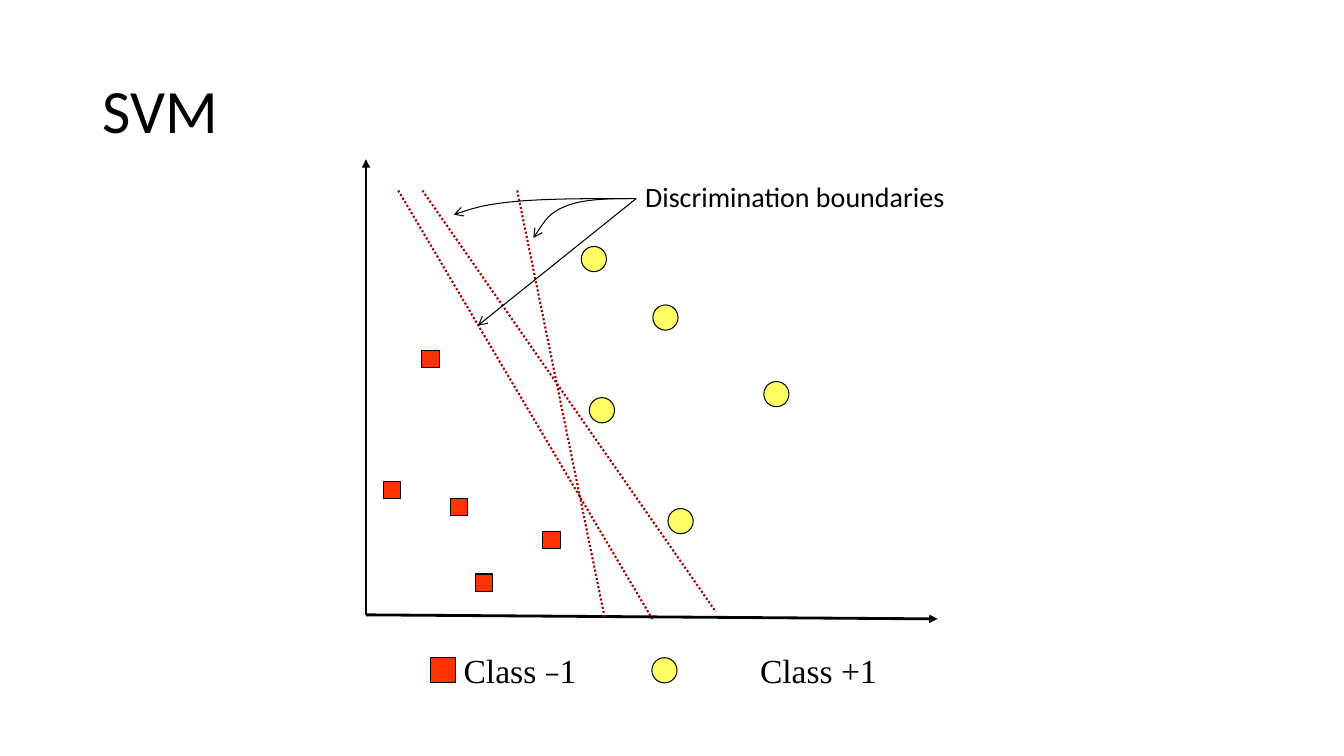
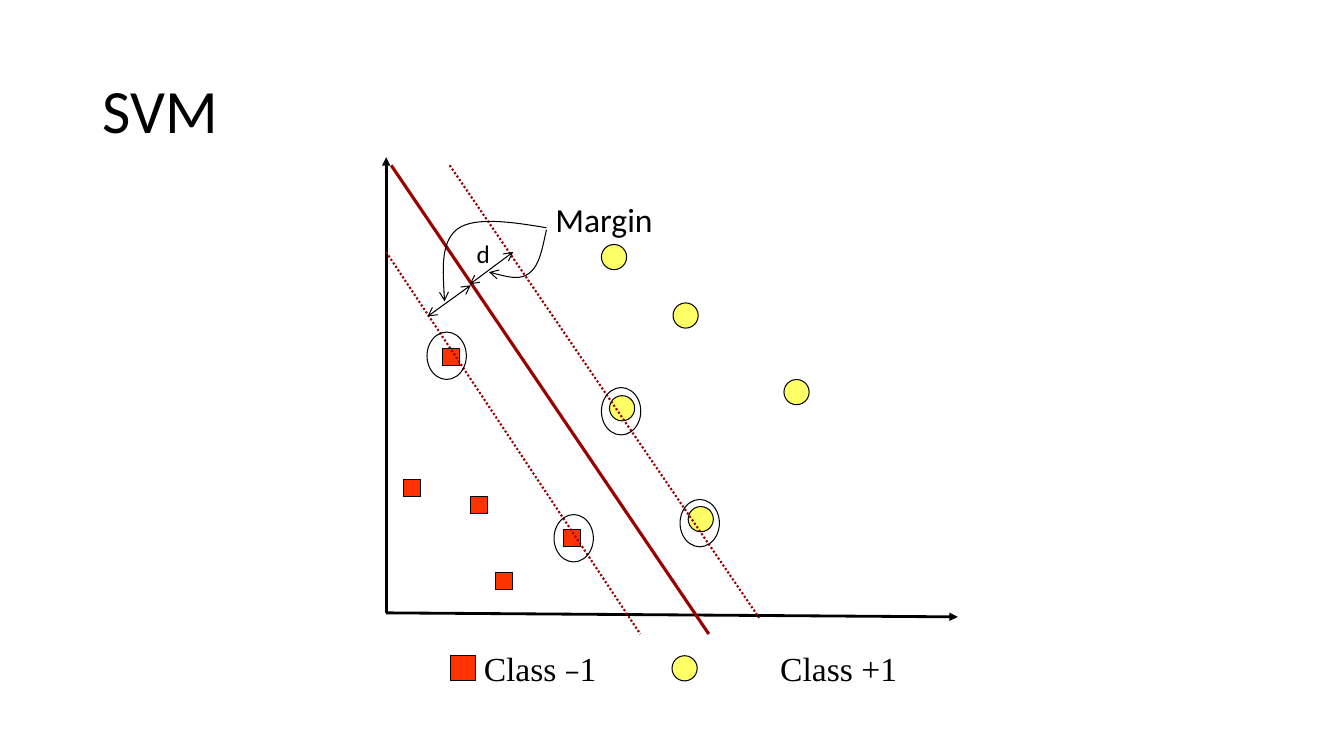
import dataclasses

import pptx
import pptx.dml.color
import pptx.enum.dml
import pptx.enum.shapes
import pptx.enum.text
import pptx.oxml.ns
import pptx.oxml.xmlchemy
import pptx.util

SLIDE_WIDTH, SLIDE_HEIGHT = 13.33, 7.5
PLOT_COLS, PLOT_ROWS = 5.67, 4.52
RECT = pptx.enum.shapes.MSO_SHAPE.RECTANGLE
OVAL = pptx.enum.shapes.MSO_SHAPE.OVAL
qn = pptx.oxml.ns.qn
new_element = pptx.oxml.xmlchemy.OxmlElement


@dataclasses.dataclass(frozen=True)
class Theme:
    ink: str = "000000"
    negative: str = "FF3300"
    positive: str = "FFFF66"
    boundary: str = "990000"
    body_font: str = "Calibri"
    legend_font: str = "Times New Roman"
    sign_font: str = "Arial"
    title_size: int = 44
    legend_size: int = 24
    label_size: int = 20
    small_size: int = 18
    thin: float = 0.75
    dotted: float = 1.5
    axis: float = 2
    separator: float = 2.25


THEME = Theme()

# Class samples as (column, row) centres inside the plot
NEGATIVES = [(0.64, 1.98), (1.84, 3.78), (1.17, 4.2), (0.92, 3.45), (0.26, 3.28)]
POSITIVES = [(2.97, 1.57), (2.26, 0.99), (4.07, 2.33), (2.34, 2.49), (3.12, 3.59)]
SAMPLE_SQUARE, SAMPLE_DISC, LEGEND_KEY = 0.17, 0.25, 0.25
SUPPORT_RING = (0.39, 0.47)


@dataclasses.dataclass(frozen=True)
class Plot:
    """The plot's box on its slide, divided into columns and rows."""
    slide: object
    left: float
    top: float
    width: float = PLOT_COLS
    height: float = PLOT_ROWS

    def size(self, cols, rows):
        return (pptx.util.Inches(cols * self.width / PLOT_COLS),
                pptx.util.Inches(rows * self.height / PLOT_ROWS))

    def at(self, col, row):
        across, down = self.size(col, row)
        return pptx.util.Inches(self.left) + across, pptx.util.Inches(self.top) + down


def rgb(colour):
    return pptx.dml.color.RGBColor.from_string(colour)


def write(paragraph, text, font=THEME.body_font, size=THEME.label_size, colour=THEME.ink):
    run = paragraph.add_run()
    run.text = text
    run.font.name = font
    run.font.size = pptx.util.Pt(size)
    run.font.color.rgb = rgb(colour)


def label(plot, col, row, cols, rows, *pieces):
    """Text box at a grid place; each piece is (text, format)."""
    frame = plot.slide.shapes.add_textbox(*plot.at(col, row), *plot.size(cols, rows)).text_frame
    frame.word_wrap = False
    for text, style in pieces:
        write(frame.paragraphs[0], text, **style)


def stroke(part, colour=THEME.ink, weight=THEME.thin, dotted=False, head=None, tail=None):
    part.line.color.rgb = rgb(colour)
    part.line.width = pptx.util.Pt(weight)
    if dotted:
        part.line.dash_style = pptx.enum.dml.MSO_LINE.ROUND_DOT
    outline = part._element.spPr.find(qn("a:ln"))
    for tag, kind in (("a:headEnd", head), ("a:tailEnd", tail)):
        if kind:
            end = new_element(tag)
            end.set("type", kind)
            outline.append(end)


def segment(plot, start, end, **style):
    straight = plot.slide.shapes.add_connector(
        pptx.enum.shapes.MSO_CONNECTOR.STRAIGHT, *plot.at(*start), *plot.at(*end))
    stroke(straight, **style)
    straight._element.spPr.append(new_element("a:effectLst"))


def curved_arrow(plot, start, *controls):
    """Arrow along cubic curves, three control points for each."""
    builder = plot.slide.shapes.build_freeform(*plot.at(*start))
    builder.add_line_segments([plot.at(*point) for point in controls], close=False)
    arrow = builder.convert_to_shape()
    arrow.shadow.inherit = False
    arrow.fill.background()
    stroke(arrow, tail="arrow")
    # Turn every three straight steps into one Bezier curve
    route = next(arrow._element.iter(qn("a:path")))
    steps = route.findall(qn("a:lnTo"))
    for first in range(0, len(steps), 3):
        curve = new_element("a:cubicBezTo")
        for step in steps[first:first + 3]:
            curve.append(step[0])
            route.remove(step)
        route.append(curve)


def marker(plot, kind, centre, cols, rows, fill=None):
    col, row = centre
    mark = plot.slide.shapes.add_shape(
        kind, *plot.at(col - cols / 2, row - rows / 2), *plot.size(cols, rows))
    mark.shadow.inherit = False
    if fill:
        mark.fill.solid()
        mark.fill.fore_color.rgb = rgb(fill)
    else:
        mark.fill.background()
    stroke(mark)


def add_title(slide, text):
    title = slide.shapes.title
    title.left, title.top, title.width, title.height = map(
        pptx.util.Inches, (0.92, 0.4, 11.5, 1.45))
    title.text_frame.vertical_anchor = pptx.enum.text.MSO_ANCHOR.MIDDLE
    paragraph = title.text_frame.paragraphs[0]
    paragraph.alignment = pptx.enum.text.PP_ALIGN.LEFT
    paragraph.line_spacing = 0.9
    write(paragraph, text, size=THEME.title_size)


def add_axes(plot):
    origin = (0, PLOT_ROWS)
    for tip in ((0, 0), (PLOT_COLS, PLOT_ROWS + 0.04)):
        segment(plot, origin, tip, weight=THEME.axis, tail="triangle")


def add_samples(plot):
    for centre in NEGATIVES:
        marker(plot, RECT, centre, SAMPLE_SQUARE, SAMPLE_SQUARE, THEME.negative)
    for centre in POSITIVES:
        marker(plot, OVAL, centre, SAMPLE_DISC, SAMPLE_DISC, THEME.positive)


def add_legend(plot):
    serif = dict(font=THEME.legend_font, size=THEME.legend_size)
    sign = dict(font=THEME.sign_font, size=THEME.small_size)
    key_row, text_row = PLOT_ROWS + 0.55, PLOT_ROWS + 0.3
    marker(plot, RECT, (0.76, key_row), LEGEND_KEY, LEGEND_KEY, THEME.negative)
    marker(plot, OVAL, (2.96, key_row), LEGEND_KEY, LEGEND_KEY, THEME.positive)
    label(plot, 0.87, text_row, 1.4, 0.5, ("Class ", serif), ("−", sign), ("1", serif))
    label(plot, 3.81, text_row, 1.4, 0.5, ("Class +1", serif))


def add_svm_slide(deck, left, top):
    """Title, axes, samples and legend that both slides share."""
    slide = deck.slides.add_slide(deck.slide_layouts[5])
    add_title(slide, "SVM")
    plot = Plot(slide, left, top)
    add_axes(plot)
    add_samples(plot)
    add_legend(plot)
    return plot


def add_boundaries(plot, *ends):
    for start, end in ends:
        segment(plot, start, end, colour=THEME.boundary, weight=THEME.dotted, dotted=True)


def boundaries_slide(deck):
    plot = add_svm_slide(deck, 3.63, 1.58)
    add_boundaries(plot, ((0.32, 0.31), (2.84, 4.56)), ((0.56, 0.31), (3.47, 4.49)),
                   ((1.5, 0.31), (2.37, 4.56)))
    # Arrows from the label to each boundary
    label(plot, 2.67, 0.15, 3.4, 0.43, ("Discrimination boundaries", {}))
    curved_arrow(plot, (2.6, 0.39), (2.37, 0.39), (2.13, 0.4), (1.97, 0.47),
                 (1.82, 0.53), (1.74, 0.66), (1.66, 0.78))
    curved_arrow(plot, (2.68, 0.39), (2.23, 0.39), (1.78, 0.39), (1.47, 0.42),
                 (1.17, 0.45), (1.02, 0.5), (0.87, 0.55))
    segment(plot, (2.68, 0.39), (1.11, 1.65), tail="arrow")


def margin_slide(deck):
    plot = add_svm_slide(deck, 3.83, 1.56)
    # Margin edges and the separating line between them
    add_boundaries(plot, ((0, 0.94), (2.52, 4.73)), ((0.63, 0.08), (3.7, 4.57)))
    segment(plot, (0.05, 0.08), (3.2, 4.73), colour=THEME.boundary, weight=THEME.separator)
    # Distance d on either side
    for start, end in (((0.83, 1.26), (1.26, 0.94)), ((0.41, 1.58), (0.84, 1.27))):
        segment(plot, start, end, head="arrow", tail="arrow")
    label(plot, 0.8, 0.76, 0.34, 0.4, ("d", dict(size=THEME.small_size)))
    # Arrows from the label to both distances
    label(plot, 1.58, 0.36, 1.22, 0.5, ("Margin", dict(size=THEME.legend_size)))
    curved_arrow(plot, (1.59, 0.72), (1.55, 0.9), (1.52, 1.08), (1.42, 1.15),
                 (1.33, 1.22), (1.17, 1.18), (1.02, 1.14))
    curved_arrow(plot, (1.59, 0.7), (1.24, 0.64), (0.88, 0.59), (0.71, 0.71),
                 (0.55, 0.83), (0.56, 1.13), (0.58, 1.43))
    # Rings around the support vectors
    for centre in ((2.33, 2.52), (3.11, 3.63), (1.86, 3.78), (0.6, 1.97)):
        marker(plot, OVAL, centre, *SUPPORT_RING)


def main():
    deck = pptx.Presentation()
    deck.slide_width = pptx.util.Inches(SLIDE_WIDTH)
    deck.slide_height = pptx.util.Inches(SLIDE_HEIGHT)
    boundaries_slide(deck)
    margin_slide(deck)
    deck.save("out.pptx")


if __name__ == "__main__":
    main()
